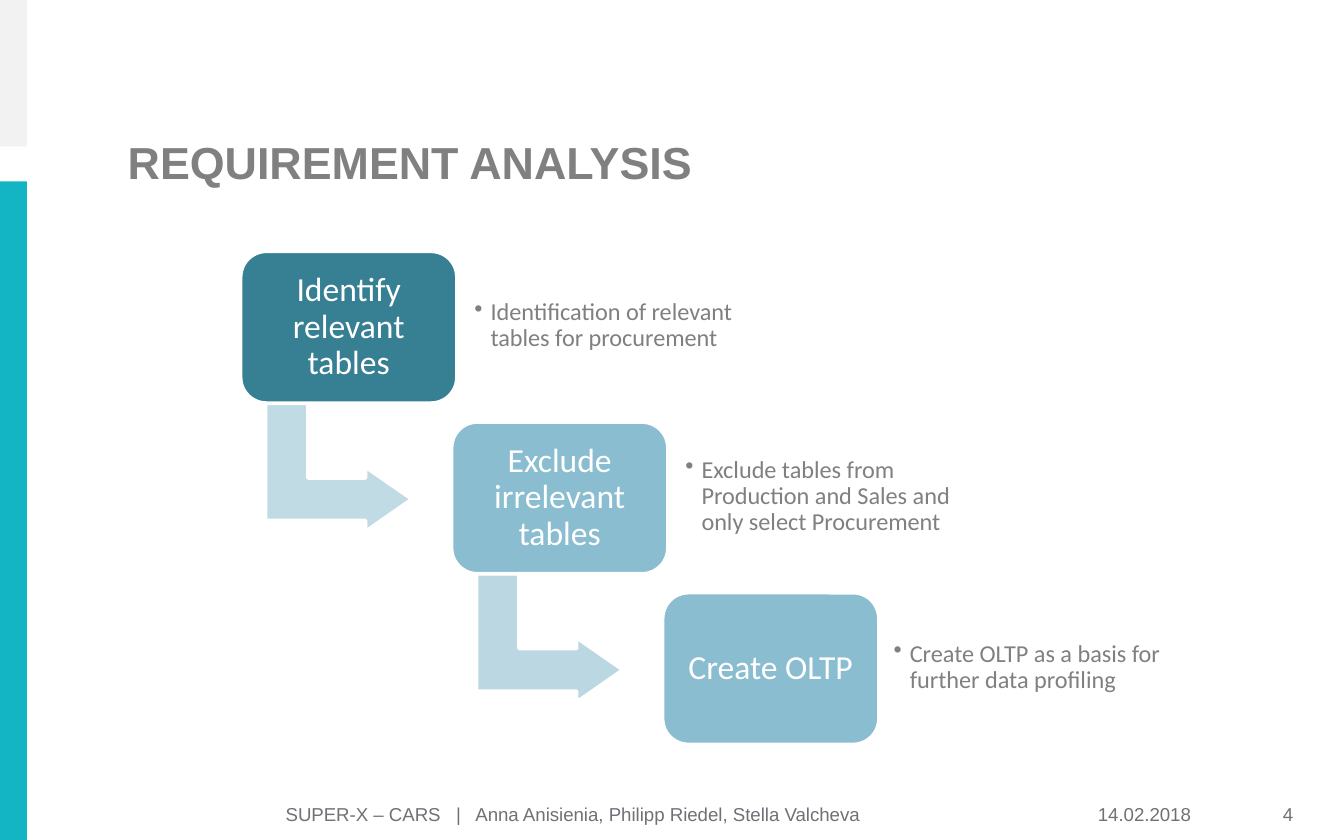
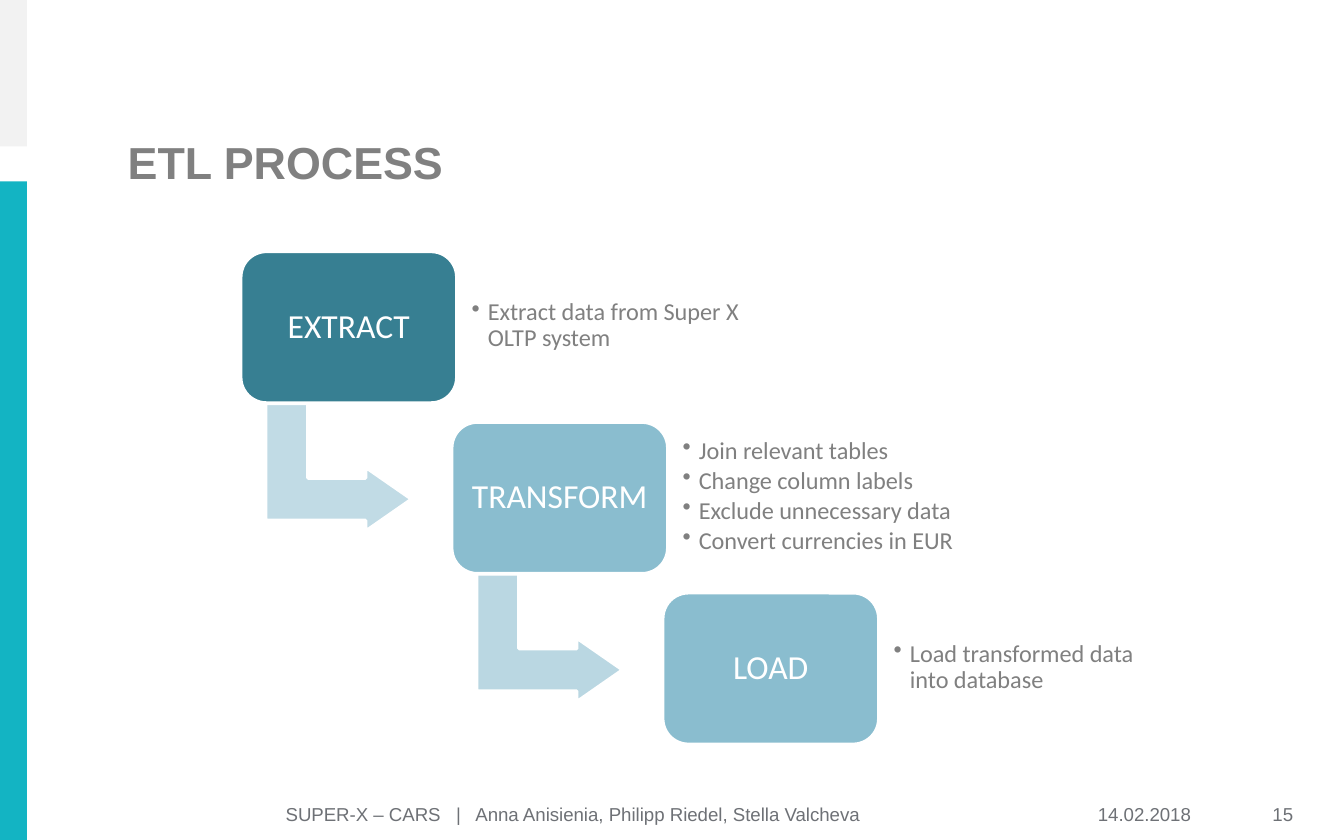
"""Build two slides that each show a three-step descending process."""
from lxml.etree import SubElement
from pptx import Presentation
from pptx.dml.color import RGBColor
from pptx.enum.shapes import MSO_SHAPE
from pptx.enum.text import MSO_ANCHOR, PP_ALIGN
from pptx.oxml.ns import qn
from pptx.util import Inches, Pt

COLORS = {
    "teal": "13B4C3",
    "pale": "F2F2F2",
    "gray": "808080",
    "footer": "6E7176",
    "white": "FFFFFF",
}
BOX_FILLS = ["377F92", "8ABDCF", "8ABDCF"]
ARROW_FILLS = ["C1DBE5", "BAD7E2"]
FIRST_LEFT, FIRST_TOP = 1.79, 1.87
STEP_RIGHT, STEP_DOWN = 1.57, 1.27
FOOTER = "SUPER-X – CARS   |   Anna Anisienia, Philipp Riedel, Stella Valcheva"
DATE = "14.02.2018"

SLIDES = [
    ("REQUIREMENT ANALYSIS", 4, [
        ("Identify relevant tables", 0.07,
         ["Identification of relevant tables for procurement"]),
        ("Exclude irrelevant tables", 0.07,
         ["Exclude tables from Production and Sales and only select Procurement"]),
        ("Create OLTP", 0.05,
         ["Create OLTP as a basis for further data profiling"]),
    ]),
    ("ETL PROCESS", 15, [
        ("EXTRACT", 0.05, ["Extract data from Super X OLTP system"]),
        ("TRANSFORM", 0.05,
         ["Join relevant tables", "Change column labels",
          "Exclude unnecessary data", "Convert currencies in EUR"]),
        ("LOAD", 0.05, ["Load transformed data into database"]),
    ]),
]


def color(value):
    """Return the RGB colour for a hex string."""
    return RGBColor.from_string(value)


def set_margins(text_frame, horizontal, vertical):
    """Wrap and centre the text vertically inside the given margins."""
    text_frame.word_wrap = True
    text_frame.vertical_anchor = MSO_ANCHOR.MIDDLE
    text_frame.margin_left = text_frame.margin_right = Inches(horizontal)
    text_frame.margin_top = text_frame.margin_bottom = Inches(vertical)


def format_text(text_frame, font_name, size, hex_color, alignment, bold=False):
    """Give every paragraph and run the same look."""
    for paragraph in text_frame.paragraphs:
        paragraph.alignment = alignment
        for run in paragraph.runs:
            run.font.name = font_name
            run.font.size = Pt(size)
            run.font.bold = bold
            run.font.color.rgb = color(hex_color)


def add_filled_shape(slide, kind, position, fill, outlined=False):
    """Add a flat preset shape, with a white outline if wanted."""
    shape = slide.shapes.add_shape(kind, *map(Inches, position))
    shape.shadow.inherit = False
    shape.fill.solid()
    shape.fill.fore_color.rgb = color(fill)
    if outlined:
        shape.line.color.rgb = color(COLORS["white"])
        shape.line.width = Pt(2)
    else:
        shape.line.fill.background()
    return shape


def add_title(slide, text):
    """Place and format the title placeholder."""
    title = slide.shapes.title
    title.left, title.top = Inches(0.85), Inches(0.86)
    title.width, title.height = Inches(6.82), Inches(0.69)
    title.text_frame.text = text
    set_margins(title.text_frame, 0.1, 0.05)
    format_text(title.text_frame, "Arial", 24, COLORS["gray"], PP_ALIGN.LEFT, True)


def add_footer_text(slide, text, left, width, alignment):
    """Add one part of the footer line."""
    box = slide.shapes.add_textbox(
        Inches(left), Inches(5.9), Inches(width), Inches(0.32))
    box.text_frame.text = text
    set_margins(box.text_frame, 0.1, 0.05)
    format_text(box.text_frame, "Arial", 10, COLORS["footer"], alignment)


def add_frame(slide, title, number):
    """Add the side bands, title and footer shared by all slides."""
    add_filled_shape(slide, MSO_SHAPE.RECTANGLE, (0, 1.35, 0.2, 4.9), COLORS["teal"])
    add_filled_shape(slide, MSO_SHAPE.RECTANGLE, (0, 0, 0.2, 1.09), COLORS["pale"])
    add_title(slide, title)
    add_footer_text(slide, DATE, 8.07, 0.95, PP_ALIGN.LEFT)
    add_footer_text(slide, FOOTER, 0.85, 6.82, PP_ALIGN.CENTER)
    add_footer_text(slide, str(number), 9.08, 0.64, PP_ALIGN.RIGHT)


def add_step_arrow(slide, left, top, fill):
    """Add the bent arrow that leads from a step down to the next one."""
    arrow = add_filled_shape(
        slide, MSO_SHAPE.BENT_UP_ARROW, (left + 0.25, top + 1.06, 0.96, 1.09),
        fill, outlined=True)
    arrow.rotation = 90
    for index, value in enumerate((0.33, 0.25, 0.36)):
        arrow.adjustments[index] = value


def add_step_box(slide, left, top, label, fill):
    """Add the rounded box that names a step."""
    box = add_filled_shape(
        slide, MSO_SHAPE.ROUNDED_RECTANGLE, (left, top, 1.61, 1.13),
        fill, outlined=True)
    box.adjustments[0] = 0.17
    box.text_frame.text = label
    set_margins(box.text_frame, 0.07, 0.07)
    box.text_frame.paragraphs[0].line_spacing = 0.9
    format_text(box.text_frame, "Calibri", 18, COLORS["white"], PP_ALIGN.CENTER)


def add_bullet(paragraph):
    """Give a paragraph a hanging bullet."""
    properties = paragraph._p.get_or_add_pPr()
    properties.set("marL", str(Inches(0.12)))
    properties.set("indent", str(-Inches(0.12)))
    SubElement(properties, qn("a:buChar"), char="•")


def add_step_details(slide, left, top, details, margin):
    """Add the bulleted details beside a step."""
    box = slide.shapes.add_textbox(
        Inches(left + 1.67), Inches(top + 0.1), Inches(2.17), Inches(0.91))
    box.text_frame.text = "\n".join(details)
    set_margins(box.text_frame, margin, margin)
    format_text(box.text_frame, "Calibri", 13, COLORS["gray"], PP_ALIGN.LEFT)
    for paragraph in box.text_frame.paragraphs:
        paragraph.line_spacing = 0.9
        paragraph.space_after = Pt(2)
        add_bullet(paragraph)


def add_process(slide, steps):
    """Lay the steps out as a staircase joined by arrows."""
    for index, (label, margin, details) in enumerate(steps):
        left = FIRST_LEFT + index * STEP_RIGHT
        top = FIRST_TOP + index * STEP_DOWN
        if index < len(steps) - 1:
            add_step_arrow(slide, left, top, ARROW_FILLS[index])
        add_step_box(slide, left, top, label, BOX_FILLS[index])
        add_step_details(slide, left, top, details, margin)


def main():
    """Build and save the presentation."""
    presentation = Presentation()
    presentation.slide_width = Inches(10)
    presentation.slide_height = Inches(6.25)
    title_only = presentation.slide_layouts[5]
    for title, number, steps in SLIDES:
        slide = presentation.slides.add_slide(title_only)
        add_frame(slide, title, number)
        add_process(slide, steps)
    presentation.save("out.pptx")


if __name__ == "__main__":
    main()
